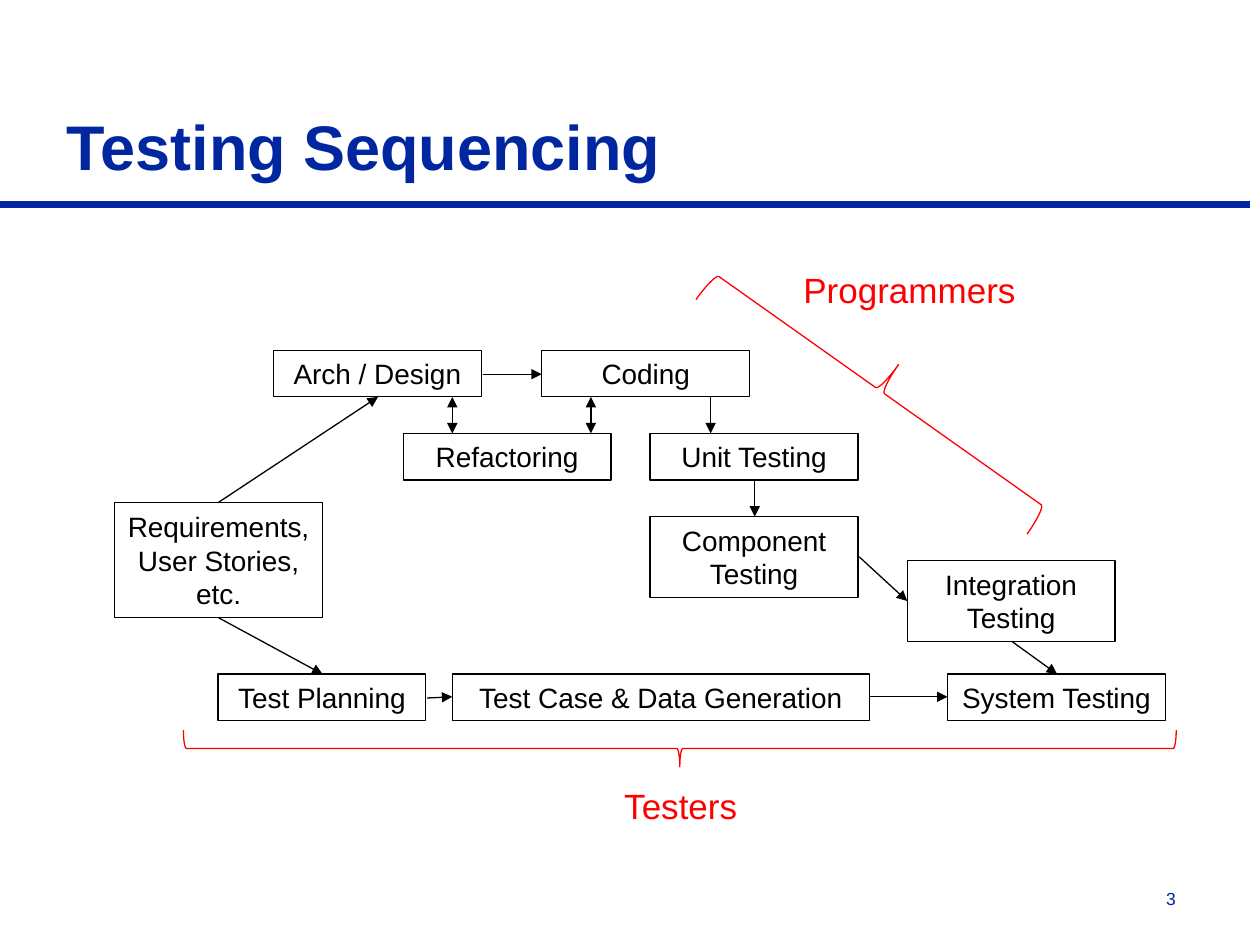
"""Builds the Testing Sequencing slide: a test workflow with its two roles."""
from lxml.etree import SubElement
from pptx import Presentation
from pptx.dml.color import RGBColor
from pptx.enum.shapes import MSO_CONNECTOR as Connector, MSO_SHAPE as Shape
from pptx.enum.text import MSO_ANCHOR as Anchor, MSO_AUTO_SIZE as AutoSize, PP_ALIGN as Align
from pptx.oxml.ns import qn
from pptx.util import Pt

PX = 9144
COLORS = {"navy": "00279F", "black": "000000", "red": "FF0000"}


def write(shape, text, size, color, align, bold=False):
    para = shape.text_frame.paragraphs[0]
    para.text = text
    para.alignment = align
    para.font.name = "Arial"
    para.font.size = Pt(size)
    para.font.bold = bold
    para.font.color.rgb = RGBColor.from_string(COLORS[color])


def draw_line(start, end, color, width, arrow_ends=()):
    points = [value * PX for value in (*start, *end)]
    line = page.shapes.add_connector(Connector.STRAIGHT, *points)
    line.line.color.rgb = RGBColor.from_string(COLORS[color])
    line.line.width = Pt(width)
    outline = line.line._get_or_add_ln()
    for arrow_end in arrow_ends:
        SubElement(outline, qn(f"a:{arrow_end}"), type="triangle")
    SubElement(line._element.spPr, qn("a:effectLst"))


deck = Presentation()
deck.slide_width, deck.slide_height = 1000 * PX, 750 * PX
page = deck.slides.add_slide(deck.slide_layouts[5])

draw_line((0, 162), (992, 162), "navy", 4)

title = page.shapes.title
title.left, title.top, title.width, title.height = (v * PX for v in (43, 29, 891, 121))
title.text_frame.vertical_anchor = Anchor.BOTTOM
title.text_frame.auto_size = AutoSize.NONE
write(title, "Testing Sequencing", 36, "navy", Align.LEFT, bold=True)

steps = [
    ("Requirements, User Stories, etc.", 91, 399, 165, 91),
    ("Arch / Design", 217, 278, 165, 37),
    ("Coding", 430, 278, 165, 37),
    ("Refactoring", 320, 344, 165, 37),
    ("Unit Testing", 516, 344, 165, 37),
    ("Component Testing", 516, 410, 165, 64),
    ("Integration Testing", 720, 445, 165, 64),
    ("System Testing", 752, 535, 173, 37),
    ("Test Planning", 173, 535, 165, 37),
    ("Test Case & Data Generation", 359, 535, 331, 37),
]
for text, *place in steps:
    box = page.shapes.add_shape(Shape.RECTANGLE, *(v * PX for v in place))
    box.shadow.inherit = False
    box.fill.background()
    box.line.color.rgb = RGBColor.from_string(COLORS["black"])
    box.line.width = Pt(0.75)
    frame = box.text_frame
    frame.word_wrap = True
    frame.vertical_anchor = Anchor.MIDDLE
    frame.margin_left = frame.margin_right = 5 * PX
    write(box, text, 16, "black", Align.CENTER)

one_way, two_way = ("tailEnd",), ("headEnd", "tailEnd")
arrows = [
    ((173, 399), (300, 315), one_way),
    ((383, 297), (430, 297), one_way),
    ((469, 315), (469, 344), two_way),
    ((564, 315), (564, 344), one_way),
    ((359, 315), (359, 344), two_way),
    ((599, 381), (599, 410), one_way),
    ((682, 442), (720, 477), one_way),
    ((803, 509), (839, 535), one_way),
    ((173, 490), (256, 535), one_way),
    ((339, 554), (359, 553), one_way),
    ((690, 553), (752, 553), one_way),
]
for start, end, arrow_ends in arrows:
    draw_line(start, end, "black", 0.75, arrow_ends)

labels = [
    ("Programmers", 20, "red", 626, 208, 190, 44),
    ("Testers", 20, "red", 484, 618, 111, 44),
    ("3", 10, "navy", 894, 700, 49, 27),
]
for text, size, color, *place in labels:
    label = page.shapes.add_textbox(*(v * PX for v in place))
    label.text_frame.word_wrap = False
    write(label, text, size, color, Align.RIGHT)

for rotation, *place in [(305.3, 673, 149, 51, 322), (90, 525, 200, 29, 788)]:
    brace = page.shapes.add_shape(Shape.RIGHT_BRACE, *(v * PX for v in place))
    brace.rotation = rotation
    brace.shadow.inherit = False
    brace.fill.background()
    brace.line.color.rgb = RGBColor.from_string(COLORS["red"])
    brace.line.width = Pt(0.75)

deck.save("out.pptx")
